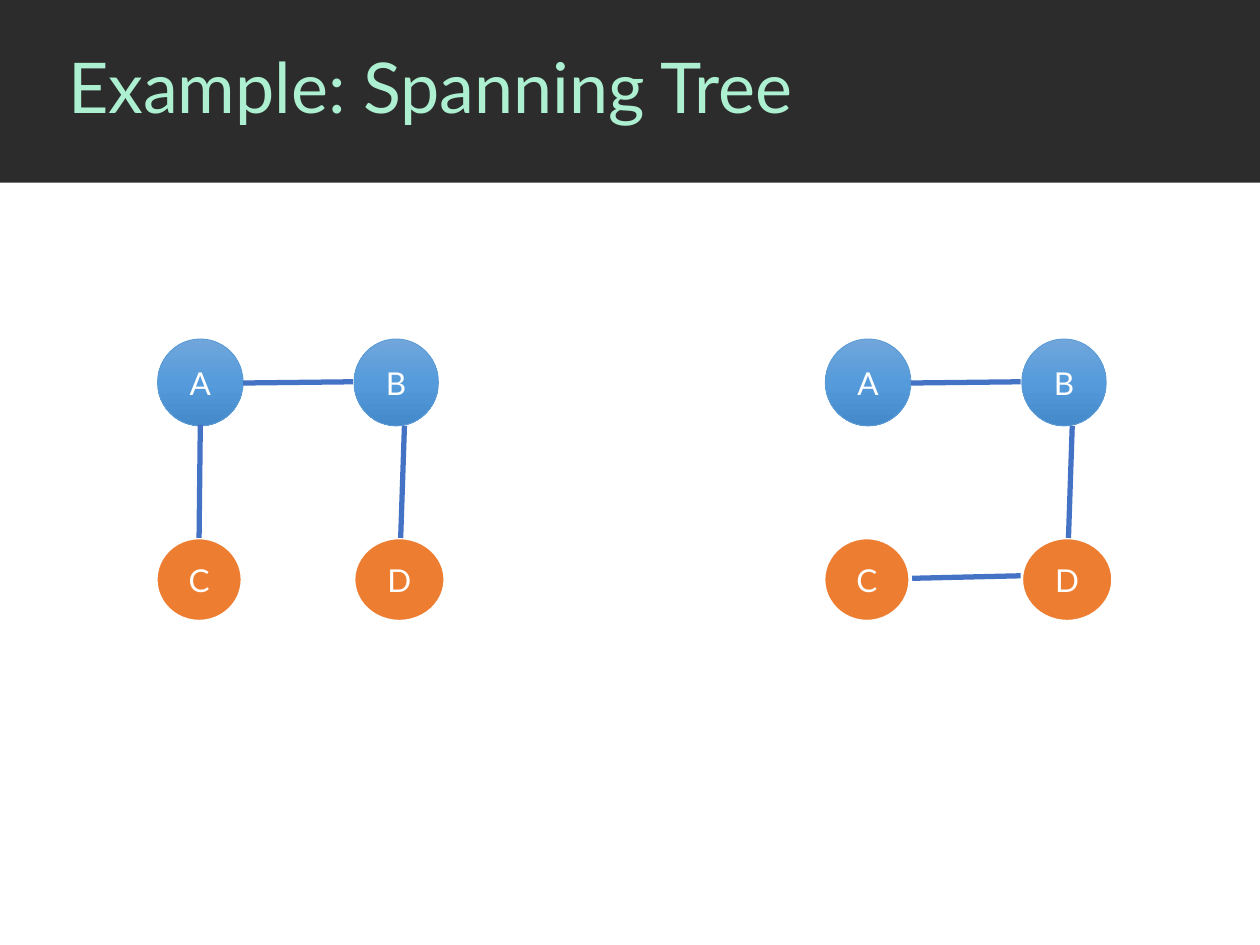
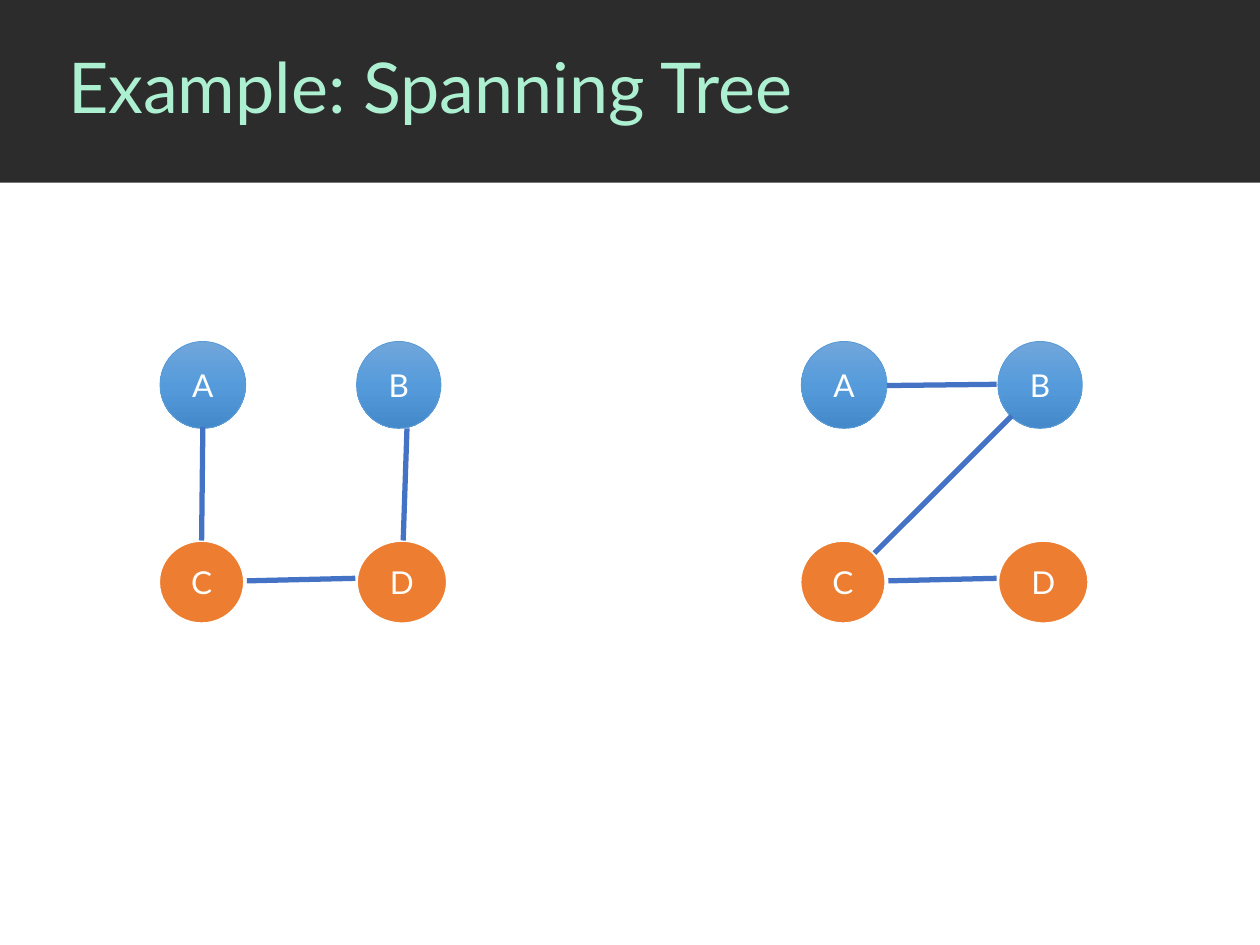
from copy import deepcopy

from lxml.etree import SubElement
from pptx import Presentation
from pptx.dml.color import RGBColor
from pptx.enum.shapes import MSO_CONNECTOR, MSO_SHAPE
from pptx.enum.text import MSO_ANCHOR, MSO_AUTO_SIZE, PP_ALIGN
from pptx.oxml.ns import qn
from pptx.util import Inches, Pt

FONT = "Lato"
BAND, MINT, WHITE = "2C2C2C", "ADF0D1", "FFFFFF"
ORANGE, EDGE_BLUE, OUTLINE_BLUE = "ED7D31", "4472C4", "5B9BD5"
BLUE_GRADIENT = ((0, "71A6DB"), (0.5, "559BDB"), (1, "448ACA"))
TITLE = "Example: Spanning Tree"

# Vertices: left, top, width, height, relative to the tree's corner
VERTICES = {
    "D": (1.57, 1.58, 0.72, 0.66),
    "B": (1.57, 0, 0.67, 0.69),
    "C": (0, 1.58, 0.68, 0.66),
    "A": (0.01, 0, 0.68, 0.69),
}
# Edges: start and end points, relative to the tree's corner
EDGES = {
    "AB": ((1.56, 0.34), (0.69, 0.35)),
    "AC": ((0.35, 0.68), (0.34, 1.58)),
    "BD": ((1.97, 0.69), (1.94, 1.58)),
    "CD": ((1.56, 1.88), (0.7, 1.9)),
    "BC": ((1.68, 0.59), (0.59, 1.68)),
}
# One entry per slide; each tree has its corner and its edges
SLIDES = (
    (((1.24, 2.69), ("AC", "AB", "BD")),
     ((6.54, 2.69), ("AB", "BD", "CD"))),
    (((1.26, 2.71), ("BD", "CD", "AC")),
     ((6.35, 2.71), ("AB", "BC", "CD"))),
)


def color(hex_code):
    return RGBColor.from_string(hex_code)


def add_run(paragraph, text, size, hex_code):
    run = paragraph.add_run()
    run.text = text
    run.font.name = FONT
    run.font.size = Pt(size)
    run.font.color.rgb = color(hex_code)


def place(shape, left, top, width, height):
    shape.left, shape.top = Inches(left), Inches(top)
    shape.width, shape.height = Inches(width), Inches(height)


def add_band_to_layout(layout, slide):
    """Draw the title band on the slide, then move it behind the layout's parts."""
    band = slide.shapes.add_shape(
        MSO_SHAPE.RECTANGLE, 0, 0, Inches(10), Inches(1.45))
    band.shadow.inherit = False
    band.fill.solid()
    band.fill.fore_color.rgb = color(BAND)
    band.line.fill.background()
    layout.shapes.element.insert(2, band.element)


def set_title(slide, text):
    frame = slide.shapes.title.text_frame
    frame.auto_size = MSO_AUTO_SIZE.NONE
    frame.vertical_anchor = MSO_ANCHOR.MIDDLE
    paragraph = frame.paragraphs[0]
    paragraph.alignment = PP_ALIGN.LEFT
    paragraph.line_spacing = 0.9
    add_run(paragraph, text, 40, MINT)


def fill_blue_gradient(vertex):
    vertex.fill.gradient()
    vertex.fill.gradient_angle = 270
    stop_list = vertex.element.spPr.find(".//" + qn("a:gsLst"))
    stop_list.append(deepcopy(stop_list[-1]))
    for stop, (position, hex_code) in zip(vertex.fill.gradient_stops, BLUE_GRADIENT):
        stop.position = position
        stop.color.rgb = color(hex_code)


def add_vertex(slide, letter, corner):
    left, top, width, height = VERTICES[letter]
    vertex = slide.shapes.add_shape(
        MSO_SHAPE.OVAL, Inches(corner[0] + left), Inches(corner[1] + top),
        Inches(width), Inches(height))
    vertex.shadow.inherit = False
    if letter in "AB":
        fill_blue_gradient(vertex)
        outline, weight = OUTLINE_BLUE, 0.5
    else:
        vertex.fill.solid()
        vertex.fill.fore_color.rgb = color(ORANGE)
        outline, weight = WHITE, 1.5
    vertex.line.color.rgb = color(outline)
    vertex.line.width = Pt(weight)
    vertex.text_frame.vertical_anchor = MSO_ANCHOR.MIDDLE
    paragraph = vertex.text_frame.paragraphs[0]
    paragraph.alignment = PP_ALIGN.CENTER
    add_run(paragraph, letter, 18, WHITE)


def add_edge(slide, edge_name, corner):
    ends = [Inches(origin + offset)
            for point in EDGES[edge_name]
            for origin, offset in zip(corner, point)]
    edge = slide.shapes.add_connector(MSO_CONNECTOR.STRAIGHT, *ends)
    edge.line.color.rgb = color(EDGE_BLUE)
    edge.line.width = Pt(3)
    SubElement(edge.element.spPr, qn("a:effectLst"))


def add_tree(slide, corner, edge_names):
    for letter in VERTICES:
        add_vertex(slide, letter, corner)
    for edge_name in edge_names:
        add_edge(slide, edge_name, corner)


def main():
    deck = Presentation()
    deck.slide_width, deck.slide_height = Inches(10), Inches(7.5)
    layout = deck.slide_layouts.get_by_name("Title Only")
    place(layout.placeholders[0], 0.44, 0, 9.56, 1.44)

    for trees in SLIDES:
        slide = deck.slides.add_slide(layout)
        set_title(slide, TITLE)
        for corner, edge_names in trees:
            add_tree(slide, corner, edge_names)
    add_band_to_layout(layout, deck.slides[0])
    deck.save("out.pptx")


if __name__ == "__main__":
    main()
